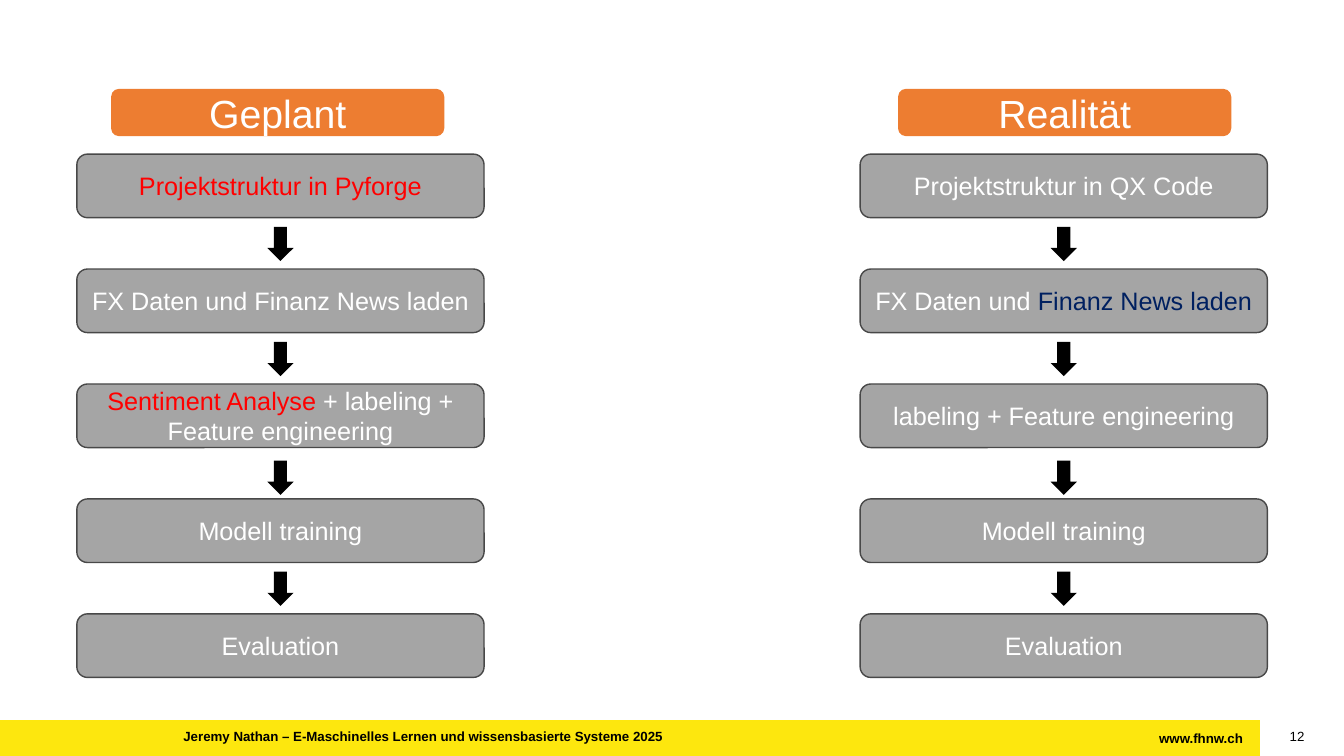
from dataclasses import dataclass

from pptx import Presentation
from pptx.dml.color import RGBColor
from pptx.enum import shapes, text
from pptx.util import Pt


@dataclass(frozen=True)
class Theme:
    font: str = "Arial"
    yellow: str = "FDE70E"
    orange: str = "ED7D31"
    grey: str = "A5A5A5"
    outline: str = "484848"
    black: str = "000000"
    white: str = "FFFFFF"
    red: str = "FF0000"
    navy: str = "002060"
    heading: float = 28
    step: float = 18
    footer: float = 9.5


T = Theme()
KIND = shapes.MSO_SHAPE
ALIGN = text.PP_ALIGN


def add_runs(p, runs, size, bold=False):
    for words, color in runs:
        r = p.add_run()
        r.text = words
        r.font.name = T.font
        r.font.size = Pt(size)
        r.font.bold = bold
        r.font.color.rgb = RGBColor.from_string(color)


def add_block(kind, left, top, width, height, fill, runs=(), size=T.step, line=None):
    sp = s.shapes.add_shape(kind, Pt(left), Pt(top), Pt(width), Pt(height))
    sp.shadow.inherit = False
    sp.fill.solid()
    sp.fill.fore_color.rgb = RGBColor.from_string(fill)
    if line:
        sp.line.color.rgb = RGBColor.from_string(line)
        sp.line.width = Pt(1)
    else:
        sp.line.fill.background()
    if runs:
        tf = sp.text_frame
        tf.word_wrap = True
        tf.vertical_anchor = text.MSO_ANCHOR.MIDDLE
        p = tf.paragraphs[0]
        p.alignment = ALIGN.CENTER
        add_runs(p, runs, size)


prs = Presentation()
prs.slide_width, prs.slide_height = Pt(960), Pt(540)
s = prs.slides.add_slide(prs.slide_layouts[6])

# Footer band and its texts
add_block(KIND.RECTANGLE, 0, 514.5, 900, 25.5, T.yellow)
footers = [
    ("www.fhnw.ch", 769, 118.8, ALIGN.RIGHT, True, 1),
    ("Jeremy Nathan – E-Maschinelles Lernen und wissensbasierte Systeme 2025",
     131, 638, ALIGN.LEFT, True, 0.9),
    ("12", 902.2, 29.5, ALIGN.RIGHT, False, 0.9),
]
for words, left, width, align, bold, spacing in footers:
    sp = s.shapes.add_textbox(Pt(left), Pt(521.3), Pt(width), Pt(11.5))
    tf = sp.text_frame
    tf.word_wrap = True
    tf.margin_left = tf.margin_top = tf.margin_right = tf.margin_bottom = 0
    p = tf.paragraphs[0]
    p.alignment = align
    p.line_spacing = spacing
    add_runs(p, [(words, T.black)], T.footer, bold)

# Two flows: heading, heading left, box left, steps
last_steps = [[("Modell training", T.white)], [("Evaluation", T.white)]]
flows = [
    ("Geplant", 79.4, 54.9, [
        [("Projektstruktur in Pyforge", T.red)],
        [("FX Daten und Finanz News laden", T.white)],
        [("Sentiment Analyse ", T.red), ("+ labeling + Feature engineering", T.white)],
    ]),
    ("Realität", 641.5, 614.4, [
        [("Projektstruktur in QX Code", T.white)],
        [("FX Daten und ", T.white), ("Finanz News laden", T.navy)],
        [("labeling + Feature engineering", T.white)],
    ]),
]
FIRST_TOP, PITCH = 110.1, 82.1
BOX_W, BOX_H = 290.9, 45.4
ARROW_W, ARROW_H = 18.7, 24.5
arrow_tops = [162, 244.2, 329, 408.3]

for heading, heading_left, left, first_steps in flows:
    add_block(KIND.ROUNDED_RECTANGLE, heading_left, 63.5, 238, 33.8, T.orange,
              [(heading, T.white)], T.heading)
    for i, runs in enumerate(first_steps + last_steps):
        add_block(KIND.ROUNDED_RECTANGLE, left, FIRST_TOP + i * PITCH, BOX_W, BOX_H,
                  T.grey, runs, line=T.outline)
    for top in arrow_tops:
        add_block(KIND.DOWN_ARROW, left + (BOX_W - ARROW_W) / 2, top,
                  ARROW_W, ARROW_H, T.black)

prs.save("out.pptx")
